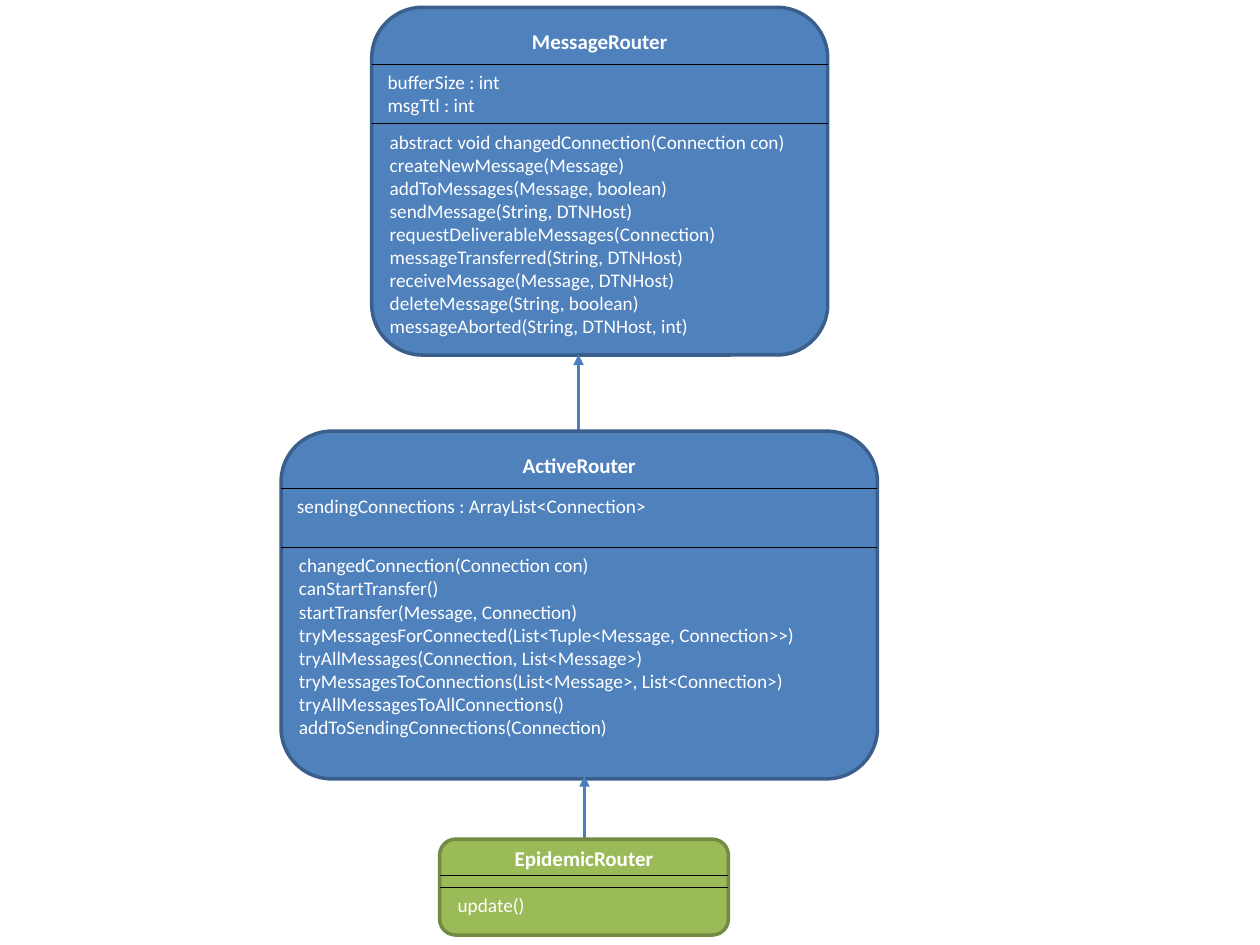
import pptx
import pptx.util
import pptx.dml.color
import pptx.enum.shapes
import pptx.enum.text
import pptx.oxml
from dataclasses import dataclass

Pt = pptx.util.Pt
RGB = pptx.dml.color.RGBColor.from_string
ALIGN = pptx.enum.text.PP_ALIGN
SHAPES = pptx.enum.shapes


@dataclass(frozen=True)
class Theme:
    font: str = "Calibri"
    title_size: float = 12
    body_size: float = 11
    text: str = "FFFFFF"
    divider: str = "000000"
    arrow: str = "4B7EBC"
    blue: tuple = ("4F81BD", "3A5F8C")
    green: tuple = ("9BBB59", "738A42")


THEME = Theme()


def write(tf, lines, size, bold=False, align=ALIGN.LEFT):
    tf.word_wrap = True
    tf.vertical_anchor = pptx.enum.text.MSO_ANCHOR.TOP
    for i, line in enumerate(lines):
        p = tf.paragraphs[0] if i == 0 else tf.add_paragraph()
        p.text = line
        p.alignment = align
        p.font.name = THEME.font
        p.font.size = Pt(size)
        p.font.bold = bold
        p.font.color.rgb = RGB(THEME.text)


def add_text(s, x, y, w, h, lines, size, bold=False, align=ALIGN.LEFT):
    box = s.shapes.add_textbox(Pt(x), Pt(y), Pt(w), Pt(h))
    write(box.text_frame, lines, size, bold, align)


def add_line(s, x1, y1, x2, y2, color, width, arrow=False):
    line = s.shapes.add_connector(SHAPES.MSO_CONNECTOR.STRAIGHT,
                                  Pt(x1), Pt(y1), Pt(x2), Pt(y2))
    line.line.color.rgb = RGB(color)
    line.line.width = Pt(width)
    if arrow:
        ln = line.line._get_or_add_ln()
        ln.append(pptx.oxml.parse_xml(
            '<a:tailEnd xmlns:a="http://schemas.openxmlformats.org/'
            'drawingml/2006/main" type="triangle"/>'))
    sp_pr = line._element.spPr
    sp_pr.append(sp_pr.makeelement(pptx.oxml.ns.qn("a:effectLst"), {}))


def add_class(s, box, colors, radius, dividers, title, fields, methods,
              field_w=0, method_w=0, title_w=None):
    """Class box with a title, fields and methods; dividers are offsets from its top."""
    x, y, w, h = box
    fill, outline = colors
    sp = s.shapes.add_shape(SHAPES.MSO_SHAPE.ROUNDED_RECTANGLE,
                            Pt(x), Pt(y), Pt(w), Pt(h))
    sp.shadow.inherit = False
    sp.adjustments[0] = radius
    sp.fill.solid()
    sp.fill.fore_color.rgb = RGB(fill)
    sp.line.color.rgb = RGB(outline)
    sp.line.width = Pt(2)

    # Title: inside the shape, or in its own box where the header is low
    if title_w is None:
        write(sp.text_frame, [title], THEME.title_size, True, ALIGN.CENTER)
    else:
        add_text(s, x + (w - title_w) / 2, y, title_w, 21.6, [title],
                 THEME.title_size, True, ALIGN.CENTER)

    # Fields and methods
    top, mid = dividers
    if fields:
        add_text(s, x + 2, y + top, field_w, mid - top, fields, THEME.body_size)
    add_text(s, x + 3.2, y + mid, method_w, 7.5 + 13.3 * len(methods),
             methods, THEME.body_size)

    # Dividers
    for dy in dividers:
        add_line(s, x, y + dy, x + w, y + dy, THEME.divider, 0.75)


def add_inheritance(s, x, child_top, parent_bottom):
    add_line(s, x, child_top, x, parent_bottom, THEME.arrow, 2, arrow=True)


def class_diagram(s):
    # Base router
    add_class(s, (212.4, 4.2, 260.6, 198.7), THEME.blue, 0.146, (32.6, 66.4),
              "MessageRouter",
              ["bufferSize : int", "msgTtl : int"],
              ["abstract void changedConnection(Connection con)",
               "createNewMessage(Message)",
               "addToMessages(Message, boolean)",
               "sendMessage(String, DTNHost)",
               "requestDeliverableMessages(Connection)",
               "messageTransferred(String, DTNHost)",
               "receiveMessage(Message, DTNHost)",
               "deleteMessage(String, boolean)",
               "messageAborted(String, DTNHost, int)"],
              field_w=124.6, method_w=247)
    add_inheritance(s, 330.6, 248.4, 202.6)

    # Active router
    add_class(s, (160.6, 246.4, 340.8, 198.7), THEME.blue, 0.146, (32.6, 66.4),
              "ActiveRouter",
              ["sendingConnections : ArrayList<Connection>"],
              ["changedConnection(Connection con)",
               "canStartTransfer()",
               "startTransfer(Message, Connection)",
               "tryMessagesForConnected(List<Tuple<Message, Connection>>)",
               "tryAllMessages(Connection, List<Message>)",
               "tryMessagesToConnections(List<Message>, List<Connection>)",
               "tryAllMessagesToAllConnections()",
               "addToSendingConnections(Connection)"],
              field_w=337.7, method_w=336.2)
    add_inheritance(s, 334, 479.5, 443.5)

    # Epidemic router
    add_class(s, (251.2, 479.5, 165, 54.8), THEME.green, 0.167, (20.7, 27.5),
              "EpidemicRouter", [], ["update()"], method_w=56, title_w=97)


prs = pptx.Presentation()
prs.slide_width, prs.slide_height = Pt(720), Pt(540)
class_diagram(prs.slides.add_slide(prs.slide_layouts[6]))
prs.save("out.pptx")
